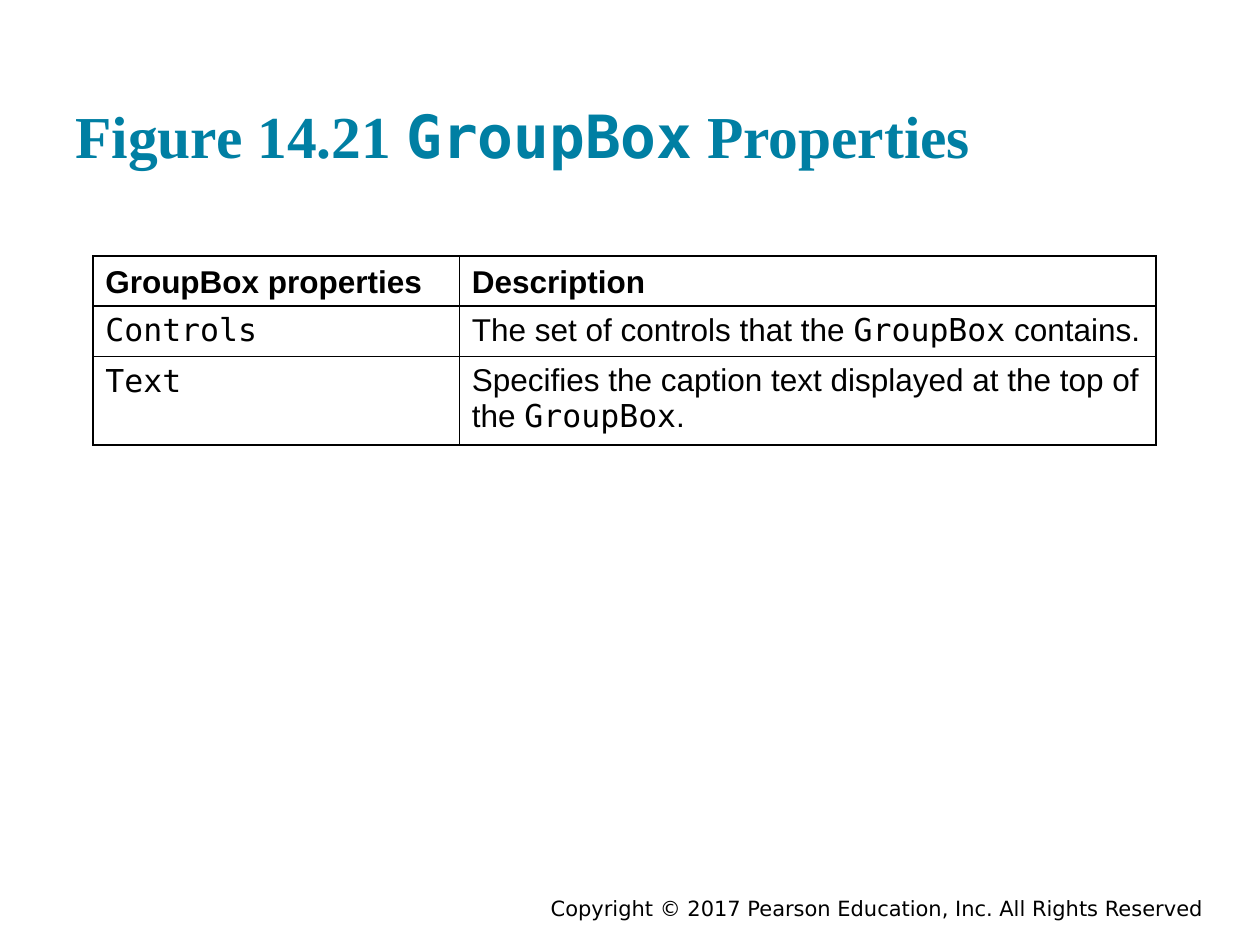
import pptx
import pptx.dml.color
import pptx.enum.text
import pptx.oxml
import pptx.oxml.ns
import pptx.util

Pt = pptx.util.Pt
ANCHOR = pptx.enum.text.MSO_ANCHOR
ALIGN = pptx.enum.text.PP_ALIGN
SANS, SERIF, MONO, FOOT = "Arial", "Times New Roman", "DejaVu Sans Mono", "DejaVu Sans"
BLACK, TEAL = "000000", "007FA3"

ROWS = [
    [[("GroupBox properties", SANS)], [("Description", SANS)]],
    [[("Controls", MONO)],
     [("The set of controls that the ", SANS), ("GroupBox", MONO), (" contains.", SANS)]],
    [[("Text", MONO)],
     [("Specifies the caption text displayed at the top of the ", SANS),
      ("GroupBox", MONO), (".", SANS)]],
]


def color(value):
    """Return the colour for a hex string."""
    return pptx.dml.color.RGBColor.from_string(value)


def add_runs(p, runs, size, fill, bold=False):
    """Add (text, font) runs to a paragraph."""
    for text, name in runs:
        r = p.add_run()
        r.text = text
        r.font.name, r.font.size, r.font.bold = name, Pt(size), bold
        r.font.color.rgb = color(fill)


def place(sp, left, top, width, height):
    """Move and size a shape."""
    sp.left, sp.top, sp.width, sp.height = map(Pt, (left, top, width, height))


def set_title(s, runs):
    """Fill the title placeholder."""
    sp = s.shapes.title
    place(sp, 36, 18, 648, 86.4)
    tf = sp.text_frame
    tf.auto_size = pptx.enum.text.MSO_AUTO_SIZE.NONE
    tf.word_wrap = True
    tf.vertical_anchor = ANCHOR.BOTTOM
    tf.margin_left = tf.margin_right = tf.margin_top = tf.margin_bottom = Pt(7.2)
    p = tf.paragraphs[0]
    p.alignment = ALIGN.LEFT
    add_runs(p, runs, 34, TEAL, True)


def add_copyright(s, text):
    """Add the right-aligned copyright line."""
    sp = s.shapes.add_textbox(Pt(216), Pt(510), Pt(478.8), Pt(18))
    tf = sp.text_frame
    tf.word_wrap = True
    tf.vertical_anchor = ANCHOR.MIDDLE
    p = tf.paragraphs[0]
    p.alignment = ALIGN.RIGHT
    add_runs(p, [(text, FOOT)], 12, BLACK)


def set_borders(cell, width, fill):
    """Draw a solid line on all four sides of a cell."""
    tcPr = cell._tc.get_or_add_tcPr()
    for i, side in enumerate(("lnL", "lnR", "lnT", "lnB")):
        tcPr.insert(i, pptx.oxml.parse_xml(
            f'<a:{side} {pptx.oxml.ns.nsdecls("a")} w="{Pt(width)}"><a:solidFill>'
            f'<a:srgbClr val="{fill}"/></a:solidFill></a:{side}>'))


def add_grid(s, rows, widths, height):
    """Add the bordered properties table, with rows as high as their text."""
    frame = s.shapes.add_table(len(rows), len(widths), Pt(53), Pt(146.16),
                               Pt(sum(widths)), Pt(height))
    table = frame.table
    table.horz_banding = False
    for column, width in zip(table.columns, widths):
        column.width = Pt(width)
    for i, row in enumerate(rows):
        table.rows[i].height = Pt(0)
        for j, runs in enumerate(row):
            cell = table.cell(i, j)
            cell.fill.background()
            cell.vertical_anchor = ANCHOR.TOP if i else ANCHOR.BOTTOM
            set_borders(cell, 1, BLACK)
            add_runs(cell.text_frame.paragraphs[0], runs, 18, BLACK, i == 0)
    frame.height = Pt(height)


def main():
    """Build and save the slide."""
    prs = pptx.Presentation()
    prs.slide_width, prs.slide_height = Pt(720), Pt(540)
    s = prs.slides.add_slide(prs.slide_layouts[5])
    add_copyright(s, "Copyright © 2017 Pearson Education, Inc. All Rights Reserved")
    set_title(s, [("Figure 14.21 ", SERIF), ("GroupBox", MONO), (" Properties", SERIF)])
    add_grid(s, ROWS, [209.5, 398.2], 108)
    prs.save("out.pptx")


if __name__ == "__main__":
    main()
